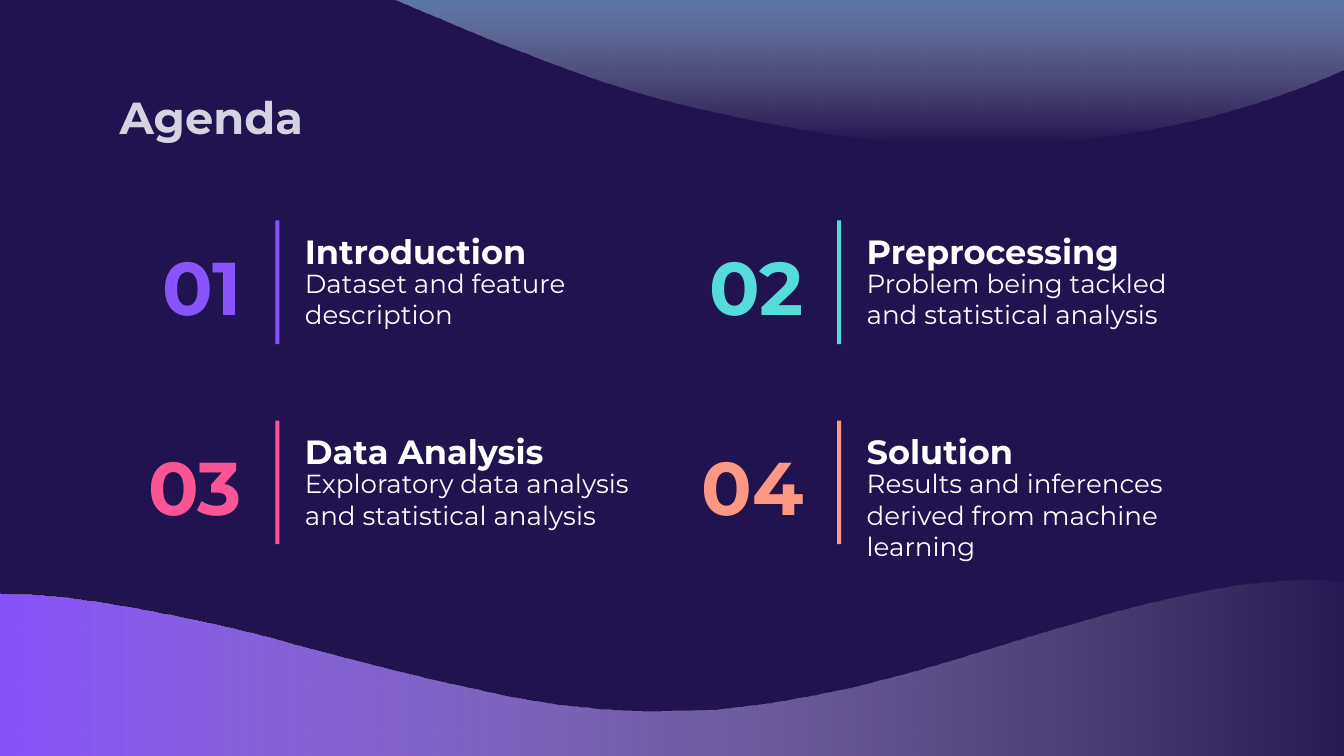
from dataclasses import dataclass

from lxml import etree
from pptx import Presentation
from pptx.dml.color import RGBColor
from pptx.enum import shapes, text
from pptx.oxml import ns
from pptx.util import Inches, Pt


@dataclass(frozen=True)
class Theme:
    """Colours, type sizes and font of the slide."""
    font: str = "Montserrat"
    background: str = "20134F"
    title: str = "D5D2E2"
    white: str = "FFFFFF"
    purple: str = "8854FD"
    teal: str = "56DBDC"
    pink: str = "FC5596"
    orange: str = "FE9883"
    blue: str = "369ADE"
    title_size: int = 24
    number_size: int = 40
    heading_size: int = 18
    body_size: int = 14


THEME = Theme()
ITEMS = [
    ("01", "Introduction", "Dataset and feature description", THEME.purple),
    ("02", "Preprocessing", "Problem being tackled and statistical analysis", THEME.teal),
    ("03", "Data Analysis", "Exploratory data analysis and statistical analysis ", THEME.pink),
    ("04", "Solution", "Results and inferences derived from machine learning", THEME.orange),
]
LOWER_CURVE = [
    (0, 0.1), (0.46, 0.12), (1.07, 0.21), (1.83, 0.37), (2.59, 0.57), (3.36, 0.76),
    (4.05, 0.9), (4.59, 0.96), (5.04, 0.97), (5.57, 0.94), (6.22, 0.83), (6.87, 0.67),
    (7.76, 0.4), (8.43, 0.21), (9, 0.08), (9.39, 0.02), (9.78, 0), (10.14, 0.02), (10.34, 0.04),
]
UPPER_CURVE = [
    (0, 0.23), (0.55, 0.17), (1.23, 0.23), (1.78, 0.36), (2.41, 0.58), (3.03, 0.84),
    (3.78, 1.15), (4.58, 1.44), (5.29, 1.63), (6.01, 1.77), (6.61, 1.85), (7.22, 1.87),
    (7.76, 1.86), (8.39, 1.79), (9.09, 1.64), (9.77, 1.41), (10.34, 1.15),
]


def smooth_curve(knots, steps=6):
    """Return points of a Catmull-Rom curve through the knots."""
    padded = [knots[0], *knots, knots[-1]]
    points = []
    for a, b, c, d in zip(padded, padded[1:], padded[2:], padded[3:]):
        for step in range(steps):
            t = step / steps
            points.append(tuple(
                0.5 * (2 * q + (r - p) * t + (2 * p - 5 * q + 4 * r - s) * t ** 2
                       + (3 * q - p - 3 * r + s) * t ** 3)
                for p, q, r, s in zip(a, b, c, d)))
    return points + [knots[-1]]


def write_text(shape, words, *, size, color, bold=False, align=text.PP_ALIGN.LEFT,
               anchor=text.MSO_ANCHOR.TOP, line_spacing=1.0, space_after=0):
    """Fill a shape with one formatted paragraph."""
    frame = shape.text_frame
    frame.word_wrap = True
    frame.auto_size = text.MSO_AUTO_SIZE.NONE
    frame.vertical_anchor = anchor
    frame.margin_left = frame.margin_right = Inches(0.1)
    frame.margin_top = frame.margin_bottom = Inches(0.1)
    paragraph = frame.paragraphs[0]
    paragraph.alignment = align
    paragraph.line_spacing = line_spacing
    paragraph.space_after = Pt(space_after)
    run = paragraph.add_run()
    run.text = words
    run.font.name = THEME.font
    run.font.size = Pt(size)
    run.font.bold = bold
    run.font.color.rgb = RGBColor.from_string(color)


def add_label(slide, left, top, width, height, words, **formatting):
    """Add a text box with one formatted paragraph."""
    box = slide.shapes.add_textbox(Inches(left), Inches(top), Inches(width), Inches(height))
    write_text(box, words, **formatting)


def add_wave(slide, left, top, width, knots, base, color, angle):
    """Add a wave between a curve and a flat base, fading to transparent."""
    outline = smooth_curve(knots) + [(width, base), (0, base)]
    points = [(Inches(left + x), Inches(top + y)) for x, y in outline]
    builder = slide.shapes.build_freeform(*points[0])
    builder.add_line_segments(points[1:], close=True)
    wave = builder.convert_to_shape()
    wave.shadow.inherit = False
    wave.line.fill.background()
    wave.fill.gradient()
    wave.fill.gradient_angle = angle
    for stop, stop_color in zip(wave.fill.gradient_stops, (color, THEME.white)):
        stop.color.rgb = RGBColor.from_string(stop_color)
    end_color = list(wave.element.spPr.iter(ns.qn("a:srgbClr")))[-1]
    etree.SubElement(end_color, ns.qn("a:alpha")).set("val", "0")


def add_title(slide, left, top, width, height, words):
    """Place the slide title in its placeholder."""
    title = slide.shapes.title
    title.left, title.top = Inches(left), Inches(top)
    title.width, title.height = Inches(width), Inches(height)
    write_text(title, words, size=THEME.title_size, color=THEME.title, bold=True,
               anchor=text.MSO_ANCHOR.MIDDLE)


def add_item(slide, left, top, number, heading, description, color):
    """Add one agenda item: number, upright rule, heading and description."""
    add_label(slide, left, top, 1.01, 0.92, number, size=THEME.number_size, color=color,
              bold=True, align=text.PP_ALIGN.RIGHT, anchor=text.MSO_ANCHOR.BOTTOM)
    add_label(slide, left + 1.28, top - 0.07, 2.76, 0.37, heading, size=THEME.heading_size,
              color=THEME.white, bold=True, line_spacing=1.15, space_after=12)
    add_label(slide, left + 1.28, top + 0.25, 2.76, 0.67, description, size=THEME.body_size,
              color=THEME.white, space_after=12)
    rule = slide.shapes.add_shape(shapes.MSO_SHAPE.RECTANGLE, Inches(left + 1.16), Inches(top),
                                  Inches(0.03), Inches(0.92))
    rule.shadow.inherit = False
    rule.line.fill.background()
    rule.fill.solid()
    rule.fill.fore_color.rgb = RGBColor.from_string(color)


def add_agenda(slide, left, top, items):
    """Lay the agenda items out in two columns."""
    for index, item in enumerate(items):
        row, column = divmod(index, 2)
        add_item(slide, left + column * 4.18, top + row * 1.49, *item)


def main():
    """Build and save the agenda slide."""
    presentation = Presentation()
    presentation.slide_width = Inches(10)
    presentation.slide_height = Inches(10 * 9 / 16)
    slide = presentation.slides.add_slide(presentation.slide_layouts.get_by_name("Title Only"))
    slide.background.fill.solid()
    slide.background.fill.fore_color.rgb = RGBColor.from_string(THEME.background)
    add_wave(slide, -0.04, 4.32, 10.34, LOWER_CURVE, 1.87, THEME.purple, 0)
    add_wave(slide, 0.01, -0.8, 10.34, UPPER_CURVE, 0, THEME.blue, 270)
    add_title(slide, 0.79, 0.59, 8.42, 0.55, "Agenda")
    add_agenda(slide, 0.89, 1.64, ITEMS)
    presentation.save("out.pptx")


main()
